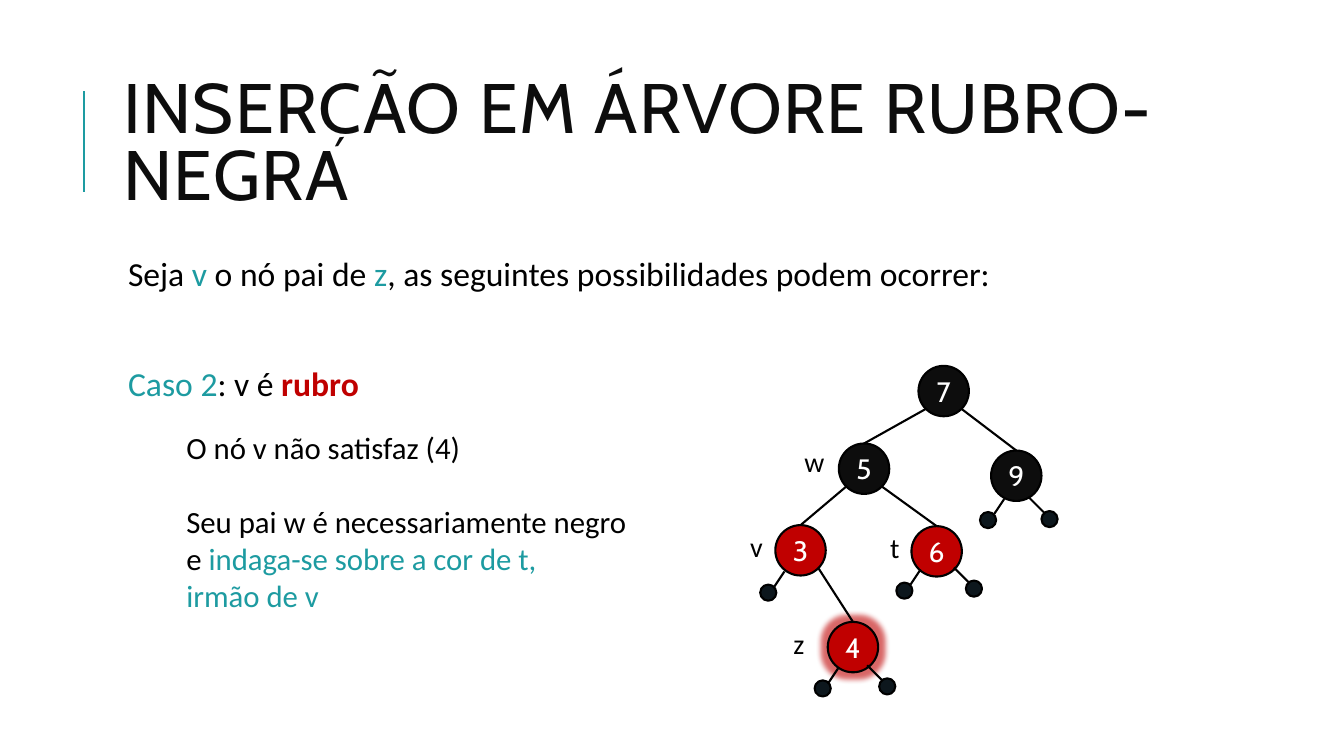
from lxml import etree
from pptx import Presentation
from pptx.dml.color import RGBColor
from pptx.enum.shapes import MSO_CONNECTOR, MSO_SHAPE
from pptx.enum.text import MSO_ANCHOR, MSO_AUTO_SIZE, PP_ALIGN
from pptx.oxml.ns import qn
from pptx.util import Inches, Pt

STRAIGHT = MSO_CONNECTOR.STRAIGHT
OVAL = MSO_SHAPE.OVAL
TOP, MIDDLE = MSO_ANCHOR.TOP, MSO_ANCHOR.MIDDLE
LEFT, CENTER = PP_ALIGN.LEFT, PP_ALIGN.CENTER
FIXED, GROW = MSO_AUTO_SIZE.NONE, MSO_AUTO_SIZE.SHAPE_TO_FIT_TEXT


class Theme:
    head, text = "Cabin", "Calibri"
    ink, black, white = "0D0D0D", "000000", "FFFFFF"
    teal, red, leaf = "1D9BA1", "C00000", "0D171D"
    title, body, note, mark = 50, 24, 22, 20
    line = Pt(1.5)


deck = Presentation()
deck.slide_width, deck.slide_height = Inches(13.33), Inches(7.5)
ROWS = 75
CELL = deck.slide_height / ROWS
slide = deck.slides.add_slide(deck.slide_layouts[1])
shapes = slide.shapes


def grid(*cells):
    return [round(cell * CELL) for cell in cells]


def write(par, runs, face, size, form):
    for key, value in form.items():
        setattr(par, key, value)
    for text, color, bold in runs:
        run = par.add_run()
        run.text = text
        for key, value in {"name": face, "size": Pt(size), "bold": bold}.items():
            setattr(run.font, key, value)
        run.font.color.rgb = RGBColor.from_string(color)
    return par


title, body = shapes.title, slide.placeholders[1]
note = shapes.add_textbox(*grid(17.5, 42, 45.7, 23.2))
inset = Inches(0.05)
sides = ("margin_left", "margin_top", "margin_right", "margin_bottom")
frames = [
    (title, (11.2, 6.4, 106.3, 16.4), {"vertical_anchor": MIDDLE, "auto_size": FIXED}),
    (body, (11.2, 25, 106.3, 44),
     {"vertical_anchor": TOP, "auto_size": FIXED, **dict.fromkeys(sides, inset)}),
    (note, (17.5, 42, 45.7, 23.2), {"auto_size": GROW, "word_wrap": True}),
]
for shape, cells, form in frames:
    shape.left, shape.top, shape.width, shape.height = grid(*cells)
    for key, value in form.items():
        setattr(shape.text_frame, key, value)

par = write(title.text_frame.paragraphs[0],
            [("INSERÇÃO EM ÁRVORE RUBRO-NEGRA", Theme.ink, False)],
            Theme.head, Theme.title, {"alignment": LEFT, "line_spacing": 0.8})
par.runs[0].font._element.set("spc", "100")

points = [
    (12, [("Seja ", Theme.black, False), ("v", Theme.teal, False),
          (" o nó pai de ", Theme.black, False), ("z", Theme.teal, False),
          (", as seguintes possibilidades podem ocorrer:", Theme.black, False)]),
    (51, [("Caso 2", Theme.teal, False), (": v é ", Theme.black, False),
          ("rubro", Theme.red, True)]),
]
for row, (gap, runs) in enumerate(points):
    frame = body.text_frame
    par = frame.add_paragraph() if row else frame.paragraphs[0]
    write(par, runs, Theme.text, Theme.body,
          {"alignment": LEFT, "line_spacing": 0.9,
           "space_before": Pt(gap), "space_after": Pt(2)})
    props = par._p.get_or_add_pPr()
    props.set("marL", str(Inches(0.1)))
    props.set("indent", "0")
    etree.SubElement(props, qn("a:buNone"))

write(note.text_frame.paragraphs[0],
      [("O nó v não satisfaz (4)", Theme.black, False)],
      Theme.text, Theme.note, {})
par = write(note.text_frame.add_paragraph(),
            [("Seu pai w é necessariamente negro e ", Theme.black, False),
             ("indaga-se sobre a cor de t,", Theme.teal, False)],
            Theme.text, Theme.note, {"space_before": Pt(27)})
par.add_line_break()
write(par, [("irmão de v", Theme.teal, False)], Theme.text, Theme.note, {})

SIZE, DOT, SLANT = 5, 1.6, 1.77
nodes = {
    "7": (93.6, 38.8, Theme.ink),
    "9": (100.8, 47.2, Theme.ink),
    "5": (85.7, 46.5, Theme.ink),
    "3": (79.4, 54.6, Theme.red),
    "6": (92.9, 54.7, Theme.red),
    "4": (84.6, 64.2, Theme.red),
}
edges = [("7", "9", 1), ("7", "5", -1), ("5", "3", -1), ("5", "6", 1), ("3", "4", 1)]
leaves = [
    ("6", 3.7, 3.7), ("6", -3.2, 3.9), ("4", 3.4, 3.9), ("4", -3, 4.1),
    ("3", -3.2, 4.2), ("9", 3.3, 4.3), ("9", -2.8, 4.4),
]
dots = [(nodes[name][0] + dx, nodes[name][1] + dy, Theme.leaf) for name, dx, dy in leaves]

lines = [((8.3, 19, 8.3, 9), Theme.teal, None)]
for start, end, side in edges:
    x, y, _ = nodes[start]
    tip_x, tip_y, _ = nodes[end]
    lines.append(((x + side * SLANT, y + SLANT, tip_x, tip_y - SIZE / 2), Theme.black, end))
for (name, dx, dy), (x, y, _) in zip(leaves, dots):
    near, far = (-2, -0.5) if dx > 0 else (1.6, 0.6)
    lines.append(((x + near, y - 2.1, x + far, y - 0.6), Theme.black, None))

discs = [(name, SIZE, *node) for name, node in nodes.items()]
discs += [("", DOT, *dot) for dot in dots]
drawn = {}
for name, size, x, y, color in discs:
    disc = shapes.add_shape(OVAL, *grid(x - size / 2, y - size / 2, size, size))
    disc.shadow.inherit = False
    disc.fill.solid()
    disc.fill.fore_color.rgb = RGBColor.from_string(color)
    disc.line.color.rgb = RGBColor.from_string(Theme.black)
    disc.line.width = Theme.line
    if name:
        drawn[name] = disc
        form = {"vertical_anchor": MIDDLE, **dict.fromkeys(sides, 0)}
        for key, value in form.items():
            setattr(disc.text_frame, key, value)
        write(disc.text_frame.paragraphs[0], [(name, Theme.white, False)],
              Theme.head, Theme.mark, {"alignment": CENTER})

effects = drawn["4"]._element.spPr.find(qn("a:effectLst"))
glow = etree.SubElement(effects, qn("a:glow"), rad=str(Inches(0.11)))
tint = etree.SubElement(glow, qn("a:srgbClr"), val=Theme.red)
etree.SubElement(tint, qn("a:alpha"), val="60000")

for cells, color, end in lines:
    line = shapes.add_connector(STRAIGHT, *grid(*cells))
    line.line.color.rgb = RGBColor.from_string(color)
    line.line.width = Theme.line
    etree.SubElement(line._element.spPr, qn("a:effectLst"))
    if end:
        line.end_connect(drawn[end], 0)

labels = [("z", 77.7, 61.7, 3.2), ("v", 73.4, 52, 3.2),
          ("w", 78.8, 43.6, 3.9), ("t", 87.3, 52.1, 2.8)]
for text, x, y, width in labels:
    label = shapes.add_textbox(*grid(x, y, width, 4.4))
    for key, value in {"auto_size": GROW, "word_wrap": False}.items():
        setattr(label.text_frame, key, value)
    write(label.text_frame.paragraphs[0], [(text, Theme.black, False)],
          Theme.text, Theme.mark, {})

deck.save("out.pptx")
